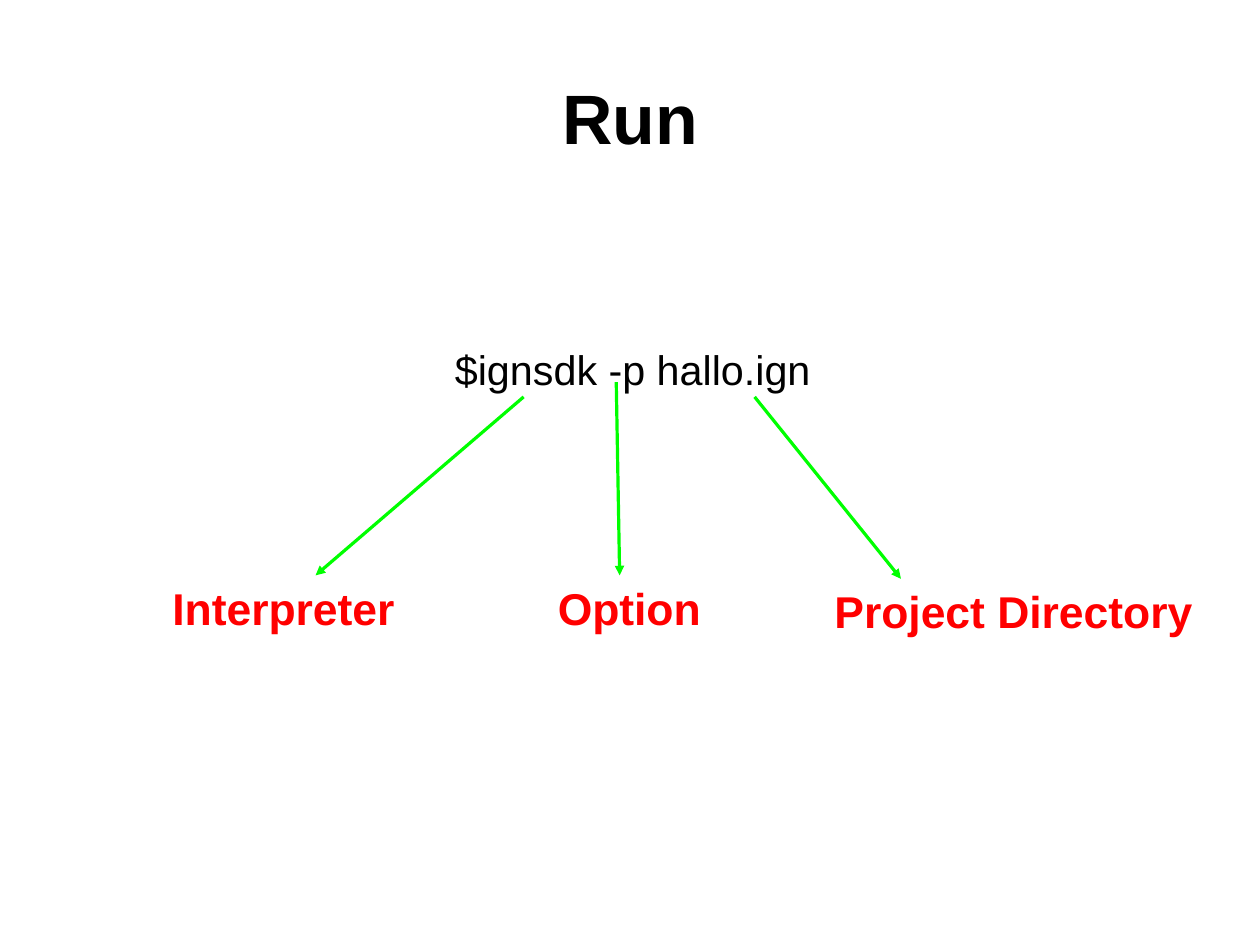
from dataclasses import dataclass

from lxml.etree import SubElement
from pptx import Presentation
from pptx.dml.color import RGBColor
from pptx.enum.shapes import MSO_CONNECTOR
from pptx.enum.text import MSO_ANCHOR, PP_ALIGN
from pptx.oxml.ns import qn
from pptx.slide import Slide
from pptx.util import Emu, Pt

EMU_PER_PX = 9144  # 100 px to the inch
COLORS = {"text": "000000", "label": "FF0000", "arrow": "00FF00"}


@dataclass(frozen=True)
class Caption:
    text: str
    left: int
    top: int
    width: int
    height: int
    size: int
    color: str = "label"
    bold: bool = True
    is_title: bool = False


@dataclass(frozen=True)
class Arrow:
    start: tuple[int, int]
    end: tuple[int, int]


CAPTIONS = [
    Caption("Run", 55, 33, 992, 138, 44, color="text", is_title=True),
    Caption("$ignsdk -p hallo.ign", 388, 296, 332, 50, 26, color="text", bold=False),
    Caption("Interpreter", 141, 503, 214, 53, 28),
    Caption("Option", 478, 503, 145, 53, 28),
    Caption("Project Directory", 720, 506, 333, 53, 28),
]
ARROWS = [
    Arrow((458, 347), (276, 503)),
    Arrow((539, 334), (542, 503)),
    Arrow((660, 347), (788, 506)),
]


def px(length: int) -> Emu:
    return Emu(length * EMU_PER_PX)


def rgb(name: str) -> RGBColor:
    return RGBColor.from_string(COLORS[name])


def add_caption(slide: Slide, caption: Caption) -> None:
    box = slide.shapes.add_textbox(
        px(caption.left), px(caption.top), px(caption.width), px(caption.height)
    )
    frame = box.text_frame
    frame.word_wrap = caption.is_title
    paragraph = frame.paragraphs[0]
    paragraph.text = caption.text
    if caption.is_title:
        frame.margin_left = frame.margin_right = 0
        frame.margin_top = frame.margin_bottom = 0
        frame.vertical_anchor = MSO_ANCHOR.MIDDLE
        paragraph.alignment = PP_ALIGN.CENTER
    paragraph.font.name = "Arial"
    paragraph.font.size = Pt(caption.size)
    paragraph.font.bold = caption.bold
    paragraph.font.color.rgb = rgb(caption.color)


def add_arrow(slide: Slide, arrow: Arrow) -> None:
    connector = slide.shapes.add_connector(
        MSO_CONNECTOR.STRAIGHT, *map(px, arrow.start + arrow.end)
    )
    connector.line.color.rgb = rgb("arrow")
    connector.line.width = Pt(0)
    properties = connector._element.spPr
    SubElement(properties.find(qn("a:ln")), qn("a:tailEnd"), type="triangle")
    SubElement(properties, qn("a:effectLst"))


def main() -> None:
    presentation = Presentation()
    presentation.slide_width = px(1102)
    presentation.slide_height = px(827)
    slide = presentation.slides.add_slide(presentation.slide_layouts[6])
    for caption in CAPTIONS:
        add_caption(slide, caption)
    for arrow in ARROWS:
        add_arrow(slide, arrow)
    presentation.save("out.pptx")


if __name__ == "__main__":
    main()
